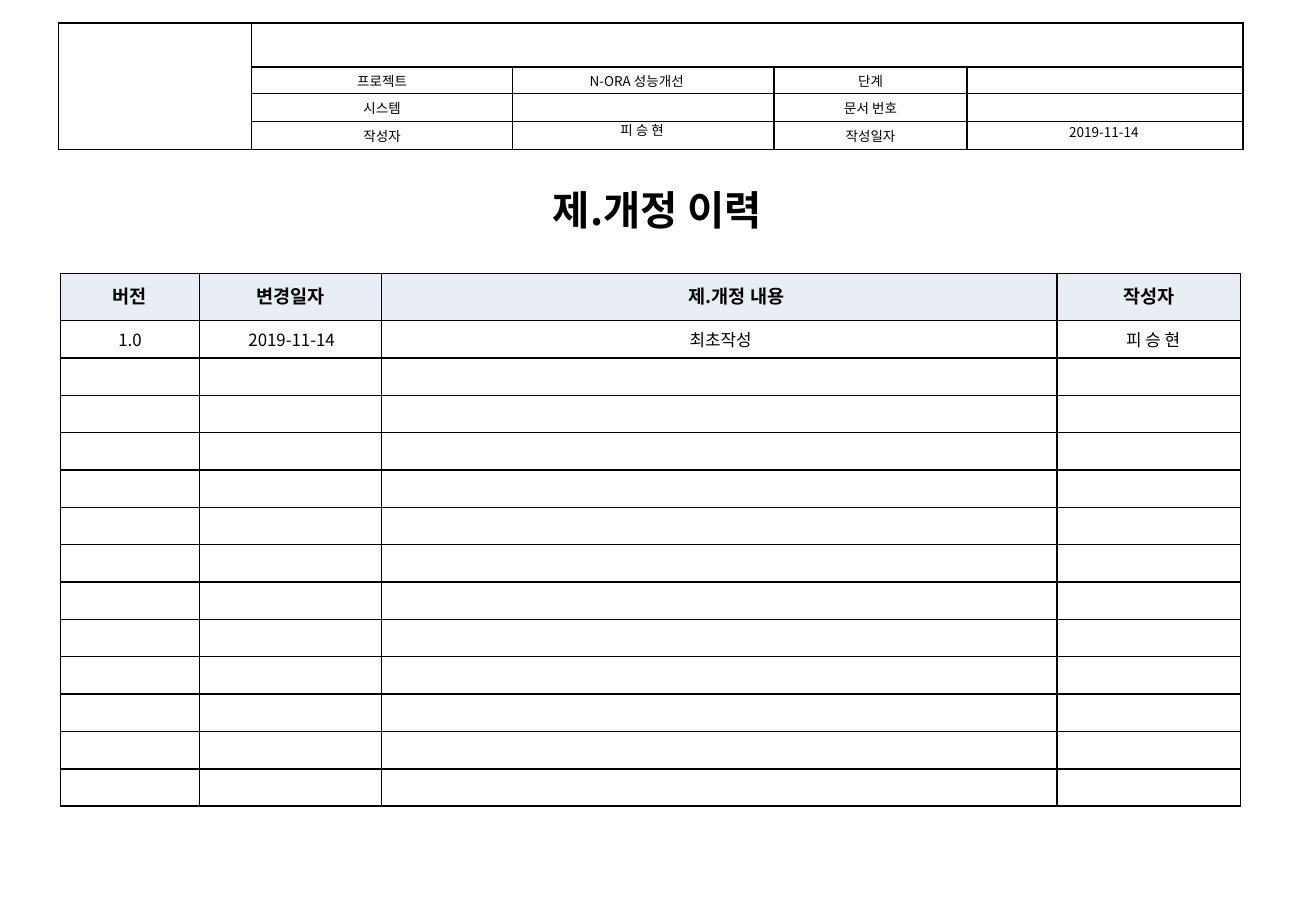
from lxml import etree
from pptx import Presentation
from pptx.dml.color import RGBColor
from pptx.enum.text import MSO_ANCHOR, PP_ALIGN
from pptx.oxml.ns import qn
from pptx.util import Inches, Pt

CENTER = PP_ALIGN.CENTER
TOP, MIDDLE = MSO_ANCHOR.TOP, MSO_ANCHOR.MIDDLE
THEME = {
    "font": "Noto Sans CJK KR", "ink": "000000", "paper": "FFFFFF", "heading": "E9EDF4",
    "title": 24, "column": 11, "entry": 10, "label": 8, "line": 14,
}


def write(frame, text, size, bold=False, spacing=None):
    paragraph = frame.paragraphs[0]
    paragraph.text = text
    paragraph.alignment = CENTER
    if spacing:
        paragraph.line_spacing = Pt(spacing)
    font = paragraph.font
    font.size, font.bold, font.name = Pt(size), bold, THEME["font"]
    font.color.rgb = RGBColor.from_string(THEME["ink"])
    defaults = paragraph._p.get_or_add_pPr().find(qn("a:defRPr"))
    etree.SubElement(defaults, qn("a:ea"), typeface=THEME["font"])
    if not text:
        etree.SubElement(paragraph._p, qn("a:endParaRPr"), sz=str(size * 100))


def build_grid(left, top, columns, rows):
    grid = slide.shapes.add_table(
        len(rows), len(columns), Inches(left), Inches(top),
        Inches(sum(columns)), Inches(sum(rows))).table
    grid.first_row = grid.horz_banding = False
    for column, width in zip(grid.columns, columns):
        column.width = Inches(width)
    for row, height in zip(grid.rows, rows):
        row.height = Inches(height)
    for cell in grid.iter_cells():
        properties = cell._tc.get_or_add_tcPr()
        for side in ("a:lnL", "a:lnR", "a:lnT", "a:lnB"):
            border = etree.SubElement(properties, qn(side), w=str(Pt(1)))
            ink = etree.SubElement(border, qn("a:solidFill"))
            etree.SubElement(ink, qn("a:srgbClr"), val=THEME["ink"])
        cell.fill.solid()
        cell.fill.fore_color.rgb = RGBColor.from_string(THEME["paper"])
        cell.vertical_anchor = MIDDLE
        cell.margin_left = cell.margin_right = cell.margin_top = cell.margin_bottom = 0
    return grid


deck = Presentation()
deck.slide_width, deck.slide_height = Inches(10.83), Inches(7.5)
slide = deck.slides.add_slide(deck.slide_layouts[6])

document_info = build_grid(0.48, 0.19, [1.59, 2.15, 2.15, 1.59, 2.27], [0.36, 0.22, 0.23, 0.23])
document_info.cell(0, 0).merge(document_info.cell(3, 0))
document_info.cell(0, 1).merge(document_info.cell(0, 4))
info_rows = [
    ["", "", "", "", ""],
    ["", "프로젝트", "N-ORA 성능개선", "단계", ""],
    ["", "시스템", "", "문서 번호", ""],
    ["", "작성자", "", "작성일자", ""],
]
for r, labels in enumerate(info_rows):
    for c, label in enumerate(labels):
        write(document_info.cell(r, c).text_frame, label, THEME["label"])
document_info.cell(1, 2).margin_right = Inches(0.11)

history_height, heading_height, entry_count = 4.39, 0.39, 13
entry_height = (history_height - heading_height) / entry_count
history = build_grid(0.5, 2.25, [1.14, 1.5, 5.56, 1.51],
                     [heading_height] + [entry_height] * entry_count)
history_rows = [
    ["버전", "변경일자", "제.개정 내용", "작성자"],
    ["1.0", "2019-11-14", "최초작성", "피 승 현"],
] + [[""] * 4] * (entry_count - 1)
indents = [[0, 0, 0.28, 0], [0, 0.02, 0.02, 0.07]]
for r, entries in enumerate(history_rows):
    is_heading = r == 0
    for c, entry in enumerate(entries):
        cell = history.cell(r, c)
        indent = indents[r][c] if r < len(indents) else 0
        cell.margin_left, cell.margin_right = Inches(0.07 + indent), Inches(0.07)
        write(cell.text_frame, entry, THEME["column" if is_heading else "entry"],
              is_heading, THEME["line"])
        if is_heading:
            cell.fill.fore_color.rgb = RGBColor.from_string(THEME["heading"])

captions = [
    ("제.개정 이력", 0.53, 1.47, 9.76, 0.5, "title", TOP, 0.05),
    ("피 승 현", 4.24, 0.99, 2.09, 0.17, "label", MIDDLE, 0),
    ("2019-11-14", 7.99, 0.99, 2.19, 0.19, "label", MIDDLE, 0),
]
for text, left, top, width, height, role, anchor, inset in captions:
    frame = slide.shapes.add_textbox(
        Inches(left), Inches(top), Inches(width), Inches(height)).text_frame
    frame.word_wrap = True
    frame.vertical_anchor = anchor
    frame.margin_top = frame.margin_bottom = Inches(inset)
    write(frame, text, THEME[role], role == "title")

deck.save("out.pptx")
